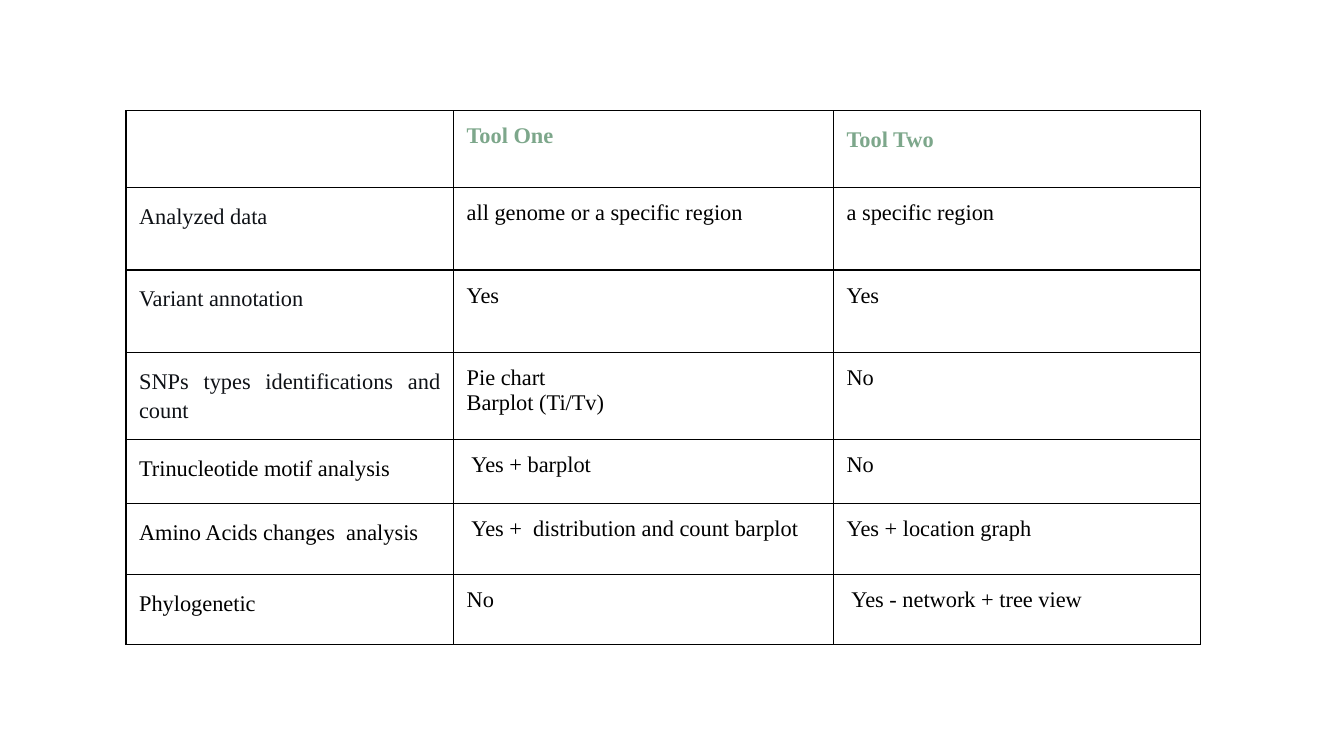
from lxml import etree
from pptx import Presentation
from pptx.dml.color import RGBColor
from pptx.enum.text import PP_ALIGN
from pptx.oxml.ns import qn
from pptx.util import Pt

JUSTIFY = PP_ALIGN.JUSTIFY
BLACK = RGBColor(0x00, 0x00, 0x00)
INK = RGBColor(0x0E, 0x11, 0x16)
GREEN = RGBColor(0x7D, 0xA7, 0x8B)

FONT = "Times New Roman"
FONT_SIZE = 16
CELL_MARGIN = 9.36
BORDER_WIDTH = 1
TABLE_LEFT, TABLE_TOP = 90, 79.2
COLUMN_WIDTHS = [234, 271.4, 262]
ROW_HEIGHTS = [54.7, 59, 59, 62, 46, 50.4, 50.4]

COMPARISON = [
    ("", "Tool One", "Tool Two"),
    ("Analyzed data", "all genome or a specific region", "a specific region"),
    ("Variant annotation", "Yes", "Yes"),
    ("SNPs types identifications and count", "Pie chart\nBarplot (Ti/Tv)", "No"),
    ("Trinucleotide motif analysis", " Yes + barplot", "No"),
    ("Amino Acids changes  analysis", " Yes +  distribution and count barplot",
     "Yes + location graph"),
    ("Phylogenetic", "No", " Yes - network + tree view"),
]
INK_ROWS = range(1, 4)


def add_borders(cell):
    properties = cell._tc.get_or_add_tcPr()
    for index, side in enumerate(("a:lnL", "a:lnR", "a:lnT", "a:lnB")):
        line = etree.Element(qn(side), w=str(Pt(BORDER_WIDTH)))
        fill = etree.SubElement(line, qn("a:solidFill"))
        etree.SubElement(fill, qn("a:srgbClr"), val=str(BLACK))
        properties.insert(index, line)


def fill_cell(cell, text, color, bold=False, justified=False, space_after=0):
    cell.fill.background()
    cell.margin_left = cell.margin_right = Pt(CELL_MARGIN)
    cell.margin_top = cell.margin_bottom = Pt(CELL_MARGIN)
    add_borders(cell)
    cell.text_frame.text = text
    for paragraph in cell.text_frame.paragraphs:
        if justified:
            paragraph.alignment = JUSTIFY
            paragraph.line_spacing = 1.15
            paragraph.space_after = Pt(space_after)
        for run in paragraph.runs:
            run.font.name = FONT
            run.font.size = Pt(FONT_SIZE)
            run.font.bold = bold
            run.font.color.rgb = color


def add_comparison_table(slide):
    frame = slide.shapes.add_table(
        len(ROW_HEIGHTS), len(COLUMN_WIDTHS), Pt(TABLE_LEFT), Pt(TABLE_TOP),
        Pt(sum(COLUMN_WIDTHS)), Pt(sum(ROW_HEIGHTS)))
    table = frame.table
    table.first_row = table.horz_banding = False
    for column, width in zip(table.columns, COLUMN_WIDTHS):
        column.width = Pt(width)
    for row, height in zip(table.rows, ROW_HEIGHTS):
        row.height = Pt(height)

    for row_index, texts in enumerate(COMPARISON):
        for column_index, text in enumerate(texts):
            cell = table.cell(row_index, column_index)
            if row_index == 0:
                fill_cell(cell, text, GREEN, bold=True, justified=column_index == 2)
            elif column_index == 0:
                color = INK if row_index in INK_ROWS else BLACK
                fill_cell(cell, text, color, justified=True, space_after=12)
            else:
                fill_cell(cell, text, BLACK)


def main():
    presentation = Presentation()
    presentation.slide_width = Pt(960)
    presentation.slide_height = Pt(540)
    slide = presentation.slides.add_slide(presentation.slide_layouts[6])
    add_comparison_table(slide)
    presentation.save("out.pptx")


if __name__ == "__main__":
    main()
